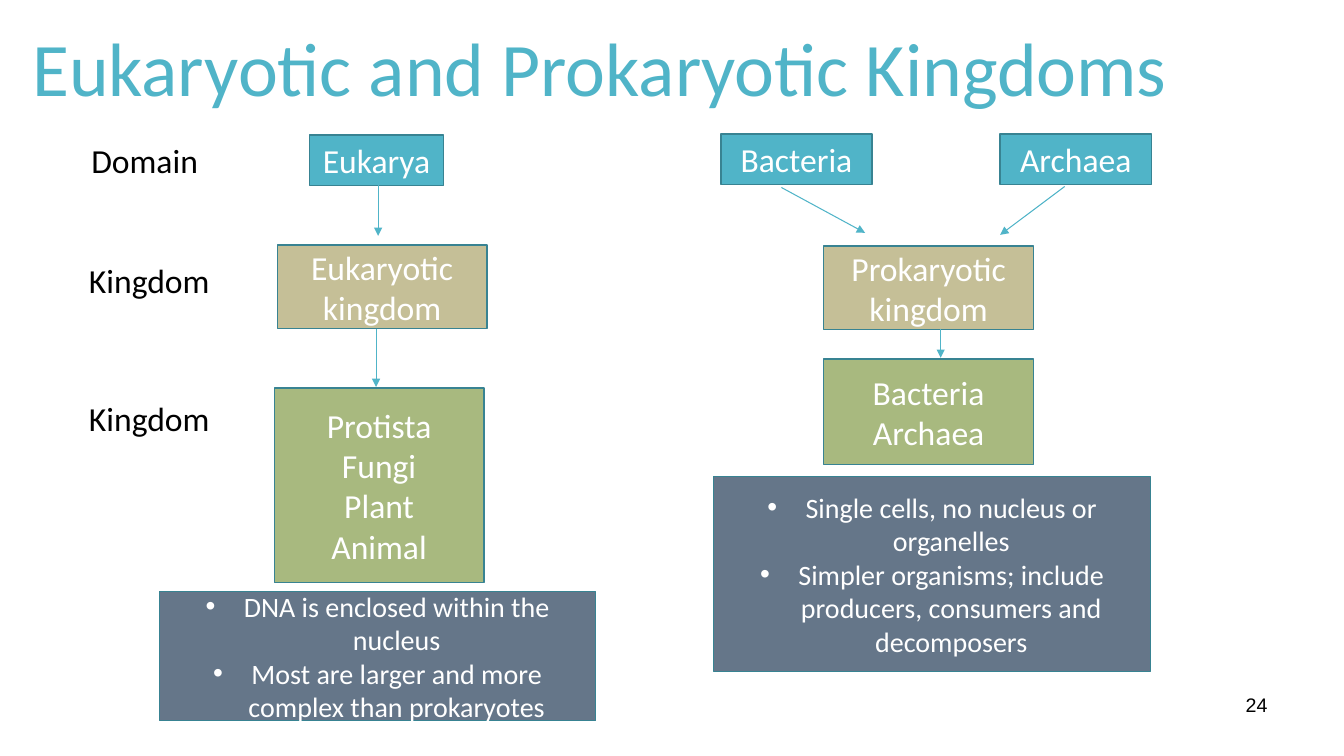
from dataclasses import dataclass

from lxml.etree import SubElement
from pptx import Presentation
from pptx.dml.color import RGBColor as Color
from pptx.enum.shapes import MSO_CONNECTOR as Connector, MSO_SHAPE as Preset
from pptx.enum.text import MSO_ANCHOR as Anchor, PP_ALIGN as Align
from pptx.oxml.ns import qn
from pptx.slide import Slide
from pptx.text.text import TextFrame
from pptx.util import Inches, Pt


@dataclass(frozen=True)
class Theme:
    teal: str = "50B4C8"
    outline: str = "388392"
    tan: str = "C5BF97"
    green: str = "A8B97F"
    slate: str = "657689"
    white: str = "FFFFFF"
    black: str = "000000"
    body_font: str = "Calibri"
    number_font: str = "Arial"
    title_size: float = 54
    label_size: float = 24
    note_size: float = 20
    number_size: float = 14
    outline_width: float = 1
    arrow_width: float = 0.75


THEME = Theme()


@dataclass(frozen=True)
class Box:
    left: float
    top: float
    width: float
    height: float
    lines: tuple[str, ...]
    fill: str | None = None
    color: str = THEME.white
    size: float = THEME.label_size
    font: str = THEME.body_font
    align: Align = Align.CENTER
    anchor: Anchor = Anchor.MIDDLE
    spacing: float = 1.0
    bulleted: bool = False


@dataclass(frozen=True)
class Arrow:
    start: tuple[float, float]
    end: tuple[float, float]


def label(left: float, top: float, width: float, text: str) -> Box:
    return Box(left, top, width, 0.5, (text,), color=THEME.black)


def domain(left: float, top: float, width: float, text: str) -> Box:
    return Box(left, top, width, 0.5, (text,), THEME.teal)


def kingdom(left: float, top: float, text: str) -> Box:
    return Box(left, top, 2.08, 0.83, (text,), THEME.tan)


def members(left: float, top: float, height: float, *names: str) -> Box:
    return Box(left, top, 2.08, height, names, THEME.green)


def notes(left: float, top: float, height: float, *points: str) -> Box:
    return Box(left, top, 4.33, height, points, THEME.slate,
               size=THEME.note_size, bulleted=True)


BOXES = (
    # Title and slide number
    Box(0.22, 0, 12.22, 1.45, ("Eukaryotic and Prokaryotic Kingdoms",),
        color=THEME.teal, size=THEME.title_size, align=Align.LEFT, spacing=0.85),
    Box(9.47, 5.63, 3.2, 1.53, ("24",), color=THEME.black, size=THEME.number_size,
        font=THEME.number_font, align=Align.RIGHT, anchor=Anchor.BOTTOM),
    # Row labels
    label(0.77, 1.34, 1.33, "Domain"),
    label(0.67, 2.53, 1.62, "Kingdom"),
    label(0.67, 3.9, 1.62, "Kingdom"),
    # Eukaryotic branch
    domain(3.07, 1.34, 1.33, "Eukarya"),
    kingdom(2.75, 2.43, "Eukaryotic kingdom"),
    members(2.72, 3.85, 1.93, "Protista", "Fungi", "Plant", "Animal"),
    notes(1.58, 5.87, 1.28, "DNA is enclosed within the nucleus",
          "Most are larger and more complex than prokaryotes"),
    # Prokaryotic branch
    domain(7.15, 1.33, 1.5, "Bacteria"),
    domain(9.92, 1.33, 1.5, "Archaea"),
    kingdom(8.17, 2.44, "Prokaryotic kingdom"),
    members(8.17, 3.56, 1.05, "Bacteria", "Archaea"),
    notes(7.08, 4.73, 1.93, "Single cells, no nucleus or organelles",
          "Simpler organisms; include producers, consumers and decomposers"),
)

ARROWS = (
    Arrow((3.75, 1.84), (3.75, 2.34)),
    Arrow((3.73, 3.26), (3.73, 3.84)),
    Arrow((7.75, 1.86), (8.58, 2.31)),
    Arrow((10.56, 1.85), (9.92, 2.33)),
    Arrow((9.33, 3.26), (9.33, 3.55)),
)


def write_text(frame: TextFrame, box: Box) -> None:
    frame.word_wrap = True
    frame.vertical_anchor = box.anchor
    font_format = {"name": box.font, "size": Pt(box.size)}
    for index, line in enumerate(box.lines):
        para = frame.add_paragraph() if index else frame.paragraphs[0]
        para_format = {"alignment": box.align, "line_spacing": box.spacing}
        for name, value in para_format.items():
            setattr(para, name, value)
        if box.bulleted:
            properties = para._p.get_or_add_pPr()
            properties.set("marL", str(Inches(0.38)))
            properties.set("indent", str(-Inches(0.38)))
            SubElement(properties, qn("a:buFont"), typeface="Arial")
            SubElement(properties, qn("a:buChar"), char="•")
        span = para.add_run()
        span.text = line
        for name, value in font_format.items():
            setattr(span.font, name, value)
        span.font.color.rgb = Color.from_string(box.color)


def draw_box(page: Slide, box: Box) -> None:
    area = [Inches(n) for n in (box.left, box.top, box.width, box.height)]
    if box.fill is None:
        shape = page.shapes.add_textbox(*area)
    else:
        shape = page.shapes.add_shape(Preset.RECTANGLE, *area)
        shape.shadow.inherit = False
        shape.fill.solid()
        shape.fill.fore_color.rgb = Color.from_string(box.fill)
        shape.line.color.rgb = Color.from_string(THEME.outline)
        shape.line.width = Pt(THEME.outline_width)
    write_text(shape.text_frame, box)


def draw_arrow(page: Slide, arrow: Arrow) -> None:
    ends = [Inches(n) for n in (*arrow.start, *arrow.end)]
    link = page.shapes.add_connector(Connector.STRAIGHT, *ends)
    link.line.color.rgb = Color.from_string(THEME.teal)
    link.line.width = Pt(THEME.arrow_width)
    SubElement(link.line._get_or_add_ln(), qn("a:tailEnd"), type="triangle")
    SubElement(link._element.spPr, qn("a:effectLst"))


def main() -> None:
    deck = Presentation()
    deck.slide_width, deck.slide_height = Inches(13.33), Inches(7.5)
    page = deck.slides.add_slide(deck.slide_layouts[6])
    for box in BOXES:
        draw_box(page, box)
    for arrow in ARROWS:
        draw_arrow(page, arrow)
    deck.save("out.pptx")


if __name__ == "__main__":
    main()
